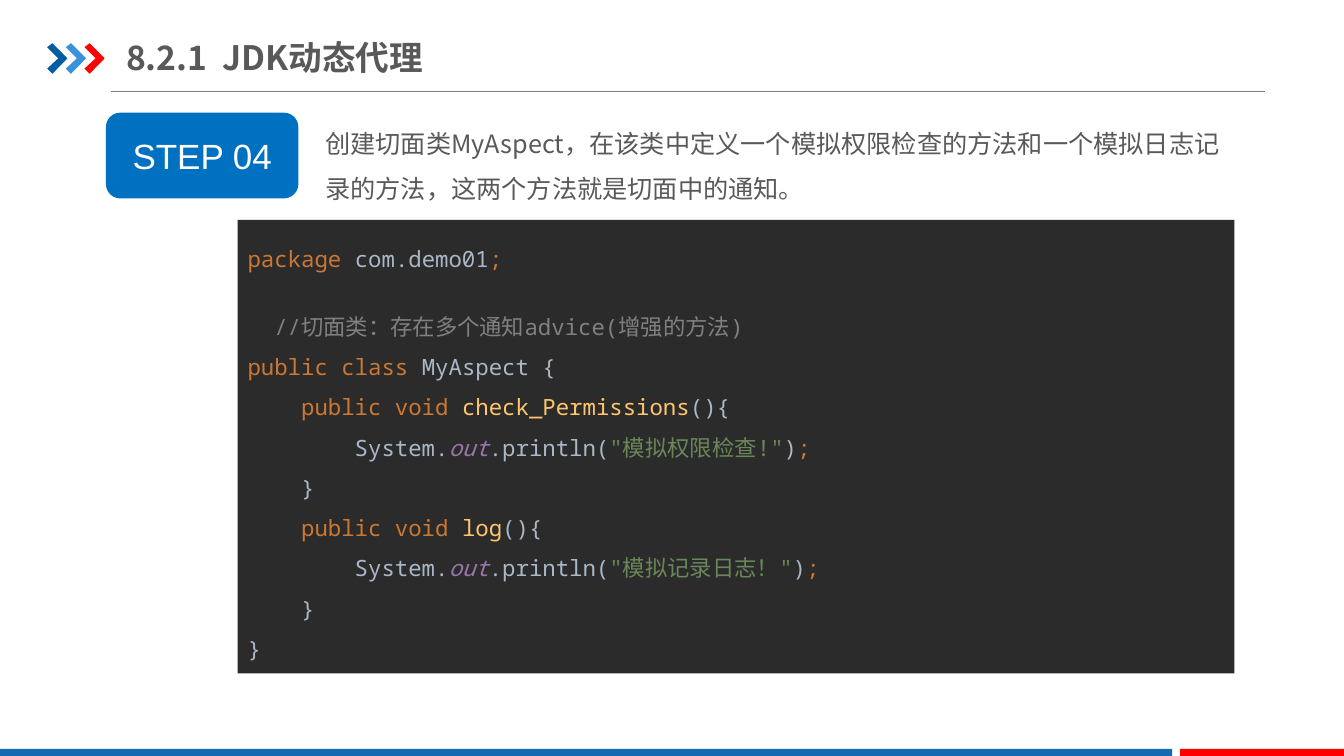
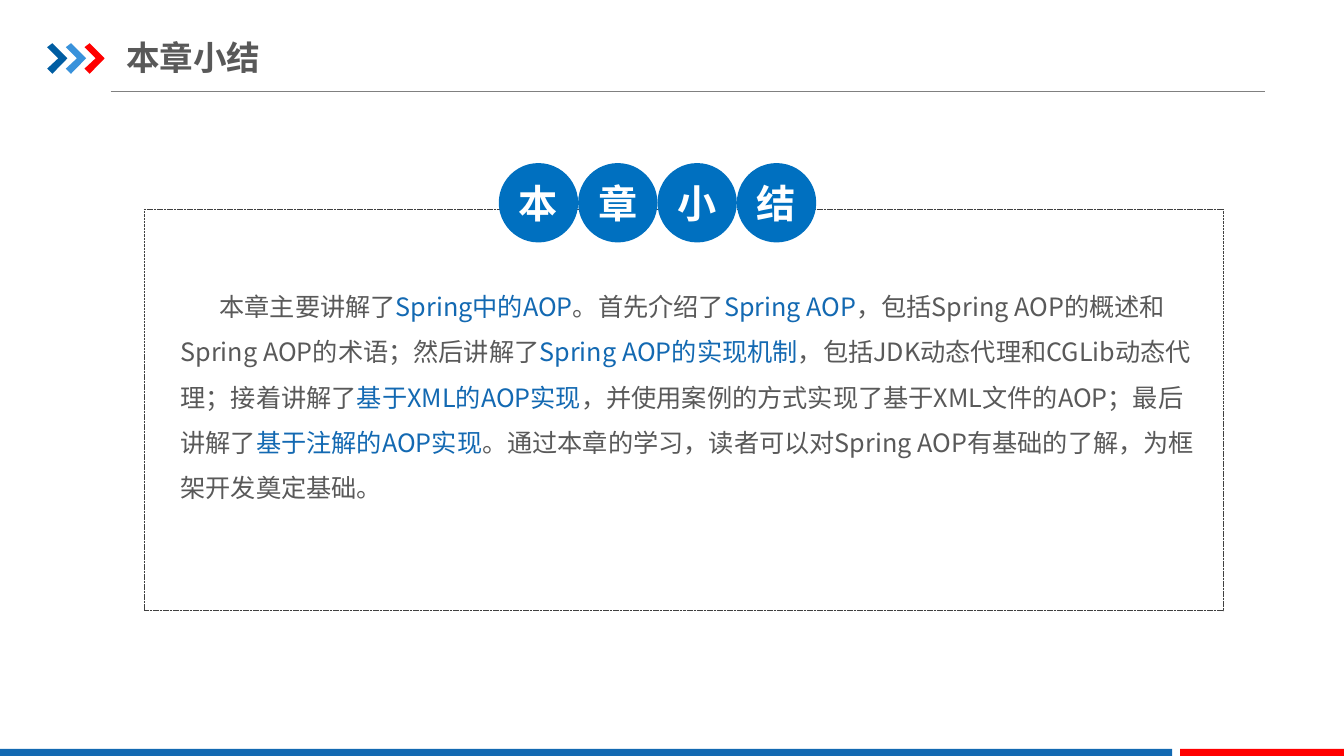
from lxml import etree
from pptx import Presentation
from pptx.dml.color import RGBColor
from pptx.enum.dml import MSO_LINE
from pptx.enum.shapes import MSO_CONNECTOR, MSO_SHAPE
from pptx.enum.text import MSO_ANCHOR, MSO_AUTO_SIZE, PP_ALIGN
from pptx.oxml.ns import qn
from pptx.util import Cm, Pt

RECTANGLE, ROUNDED, OVAL = MSO_SHAPE.RECTANGLE, MSO_SHAPE.ROUNDED_RECTANGLE, MSO_SHAPE.OVAL
STRAIGHT = MSO_CONNECTOR.STRAIGHT
DASHED = MSO_LINE.SQUARE_DOT
TOP, MIDDLE = MSO_ANCHOR.TOP, MSO_ANCHOR.MIDDLE
LEFT, CENTER = PP_ALIGN.LEFT, PP_ALIGN.CENTER
NO_FIT = MSO_AUTO_SIZE.NONE

WHITE = RGBColor(0xFF, 0xFF, 0xFF)
RED = RGBColor(0xFF, 0x00, 0x00)
NAVY = RGBColor(0x00, 0x5D, 0xA2)
SKY = RGBColor(0x39, 0x92, 0xDB)
BLUE = RGBColor(0x13, 0x69, 0xB2)
BADGE_BLUE = RGBColor(0x00, 0x70, 0xC0)
GRAY = RGBColor(0x59, 0x59, 0x59)
RULE_GRAY = RGBColor(0x80, 0x80, 0x80)
FRAME_GRAY = RGBColor(0x40, 0x40, 0x40)
CODE_BACK = RGBColor(0x2B, 0x2B, 0x2B)
KEYWORD = RGBColor(0xCC, 0x78, 0x32)
PLAIN = RGBColor(0xA9, 0xB7, 0xC6)
COMMENT = RGBColor(0x80, 0x80, 0x80)
METHOD = RGBColor(0xFF, 0xC6, 0x6D)
FIELD = RGBColor(0x98, 0x76, 0xAA)
STRING = RGBColor(0x6A, 0x87, 0x59)

SANS = "Noto Sans CJK SC"
TITLE_FONT = {"name": SANS, "size": Pt(24), "bold": True}
BODY_FONT = {"name": SANS, "size": Pt(18), "bold": False}
CODE_FONT = {"name": "Noto Sans Mono", "size": Pt(16)}
STEP_FONT = {"name": "Liberation Sans", "size": Pt(25)}
CIRCLE_FONT = {"name": SANS, "size": Pt(28), "bold": True}

CHEVRON = [(1.19, 1.19), (1.32, 1.09), (1.7, 1.47), (1.32, 1.86), (1.19, 1.73), (1.47, 1.47)]


def println(message):
    return [("        System.", PLAIN), ("out", FIELD), (".println(", PLAIN),
            (f'"{message}"', STRING), (")", PLAIN), (";", KEYWORD)]


def method(name):
    return [("    public void ", KEYWORD), (name, METHOD), ("(){", PLAIN)]


CODE_LINES = [
    [("package ", KEYWORD), ("com.demo01", PLAIN), (";", KEYWORD)],
    [("  //切面类：存在多个通知advice(增强的方法)", COMMENT)],
    [("public class ", KEYWORD), ("MyAspect {", PLAIN)],
    method("check_Permissions"),
    println("模拟权限检查!"),
    [("    }", PLAIN)],
    method("log"),
    println("模拟记录日志！"),
    [("    }", PLAIN)],
    [("}", PLAIN)],
]

SUMMARY = [
    ("本章主要讲解了", GRAY),
    ("Spring中的AOP", BLUE),
    ("。首先介绍了", GRAY),
    ("Spring AOP", BLUE),
    ("，包括Spring AOP的概述和Spring AOP的术语；然后讲解了", GRAY),
    ("Spring AOP的实现机制", BLUE),
    ("，包括JDK动态代理和CGLib动态代理；接着讲解了", GRAY),
    ("基于XML的AOP实现", BLUE),
    ("，并使用案例的方式实现了基于XML文件的AOP；最后讲解了", GRAY),
    ("基于注解的AOP实现", BLUE),
    ("。通过本章的学习，读者可以对Spring AOP有基础的了解，为框架开发奠定基础。", GRAY),
]


class Lesson:
    def __init__(self):
        self.deck = Presentation()
        self.deck.slide_width, self.deck.slide_height = Cm(33.87), Cm(19.05)
        self.slide = None

    def page(self, title):
        self.slide = self.deck.slides.add_slide(self.deck.slide_layouts[1])
        rule = self.slide.shapes.add_connector(STRAIGHT, Cm(2.79), Cm(2.31), Cm(31.88), Cm(2.31))
        rule.line.color.rgb = RULE_GRAY
        rule.line.width = Pt(0.5)
        etree.SubElement(rule._element.spPr, qn("a:effectLst"))
        for index, color in enumerate((NAVY, SKY, RED)):
            self.chevron(index * 0.47, color)
        self.shape(RECTANGLE, (0, 18.87, 29.54, 0.18), BLUE)
        self.shape(RECTANGLE, (29.74, 18.87, 4.13, 0.18), RED)
        box = self.place(self.slide.shapes.title, (3.18, 0.74, 10.82, 1.4), (0, 0.18), MIDDLE)
        para = box.text_frame.paragraphs[0]
        tabs = etree.SubElement(para._p.get_or_add_pPr(), qn("a:tabLst"))
        etree.SubElement(tabs, qn("a:tab"), pos=str(Cm(2.43)), algn="l")
        self.fill_para(para, [(title, GRAY)], TITLE_FONT)

    def chevron(self, offset, color):
        points = [(Cm(x + offset), Cm(y)) for x, y in CHEVRON]
        builder = self.slide.shapes.build_freeform(*points[0])
        builder.add_line_segments(points[1:], close=True)
        self.paint(builder.convert_to_shape(), color)

    def paint(self, shape, fill):
        shape.shadow.inherit = False
        shape.line.fill.background()
        if fill is None:
            shape.fill.background()
        else:
            shape.fill.solid()
            shape.fill.fore_color.rgb = fill

    def shape(self, kind, place, fill=None):
        shape = self.slide.shapes.add_shape(kind, *map(Cm, place))
        self.paint(shape, fill)
        return shape

    def place(self, box, place, insets, anchor):
        box.left, box.top, box.width, box.height = map(Cm, place)
        across, down = map(Cm, insets)
        settings = {"margin_left": across, "margin_right": across, "margin_top": down,
                    "margin_bottom": down, "vertical_anchor": anchor,
                    "word_wrap": True, "auto_size": NO_FIT}
        for key, value in settings.items():
            setattr(box.text_frame, key, value)
        return box

    def fill_para(self, para, spans, style, align=LEFT, spacing=1.0, before=0):
        para.alignment = align
        para.line_spacing = spacing
        para.space_before = Pt(before)
        for text, color in spans:
            span = para.add_run()
            span.text = text
            for key, value in style.items():
                setattr(span.font, key, value)
            span.font.color.rgb = color
            if color == FIELD:
                span.font.italic = True
            etree.SubElement(span._r.get_or_add_rPr(), qn("a:ea"), typeface=SANS)

    def body(self, place, insets, spans, indent=0):
        box = self.place(self.slide.placeholders[1], place, insets, TOP)
        para = box.text_frame.paragraphs[0]
        properties = para._p.get_or_add_pPr()
        properties.set("marL", "0")
        properties.set("indent", str(Cm(indent)))
        etree.SubElement(properties, qn("a:buNone"))
        self.fill_para(para, spans, BODY_FONT, spacing=1.5)

    def badge(self, kind, place, text, style):
        box = self.shape(kind, place, BADGE_BLUE)
        self.place(box, place, (0, 0), MIDDLE)
        self.fill_para(box.text_frame.paragraphs[0], [(text, WHITE)], style, CENTER)

    def code(self, place, lines):
        box = self.shape(RECTANGLE, place, CODE_BACK)
        self.place(box, place, (0.25, 0.13), MIDDLE)
        frame = box.text_frame
        for index, spans in enumerate(lines):
            para = frame.add_paragraph() if index else frame.paragraphs[0]
            self.fill_para(para, spans, CODE_FONT, spacing=1.5, before=20 if index == 1 else 0)

    def frame(self, place):
        line = self.shape(RECTANGLE, place).line
        line.color.rgb = FRAME_GRAY
        line.width = Pt(0.25)
        line.dash_style = DASHED


def main():
    lesson = Lesson()

    lesson.page("8.2.1\tJDK动态代理")
    lesson.badge(ROUNDED, (2.67, 2.84, 4.85, 2.16), "STEP 04", STEP_FONT)
    lesson.body((7.95, 2.72, 23.57, 2.57), (0.25, 0.13), [
        ("创建切面类MyAspect，在该类中定义一个模拟权限检查的方法和一个模拟日志记录的方法，"
         "这两个方法就是切面中的通知。", GRAY)])
    lesson.code((5.99, 5.54, 25.12, 11.43), CODE_LINES)

    lesson.page("本章小结")
    lesson.frame((3.63, 5.26, 27.2, 10.13))
    for index, character in enumerate("本章小结"):
        lesson.badge(OVAL, (12.57 + index * 2, 4.11, 2, 2), character, CIRCLE_FONT)
    lesson.body((4.22, 6.78, 26.39, 6.1), (0.33, 0.18), SUMMARY, indent=0.98)

    lesson.deck.save("out.pptx")


if __name__ == "__main__":
    main()
